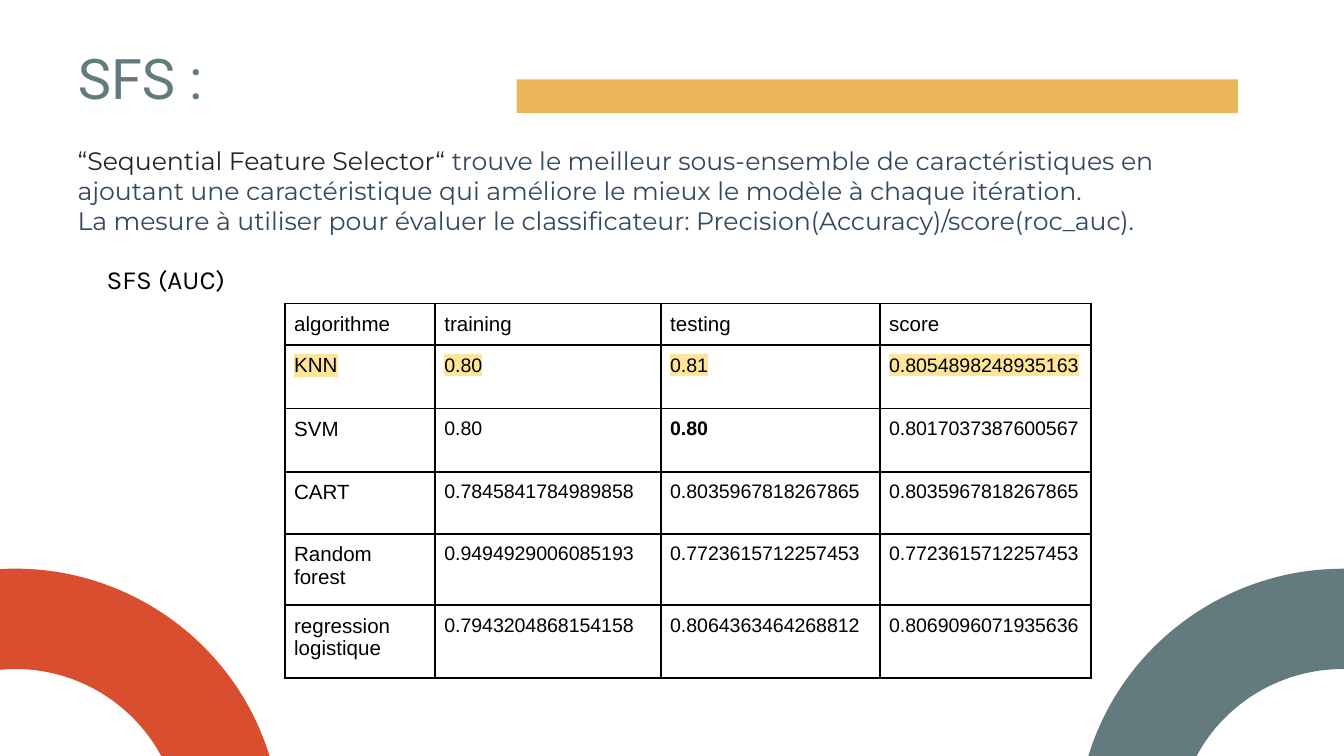
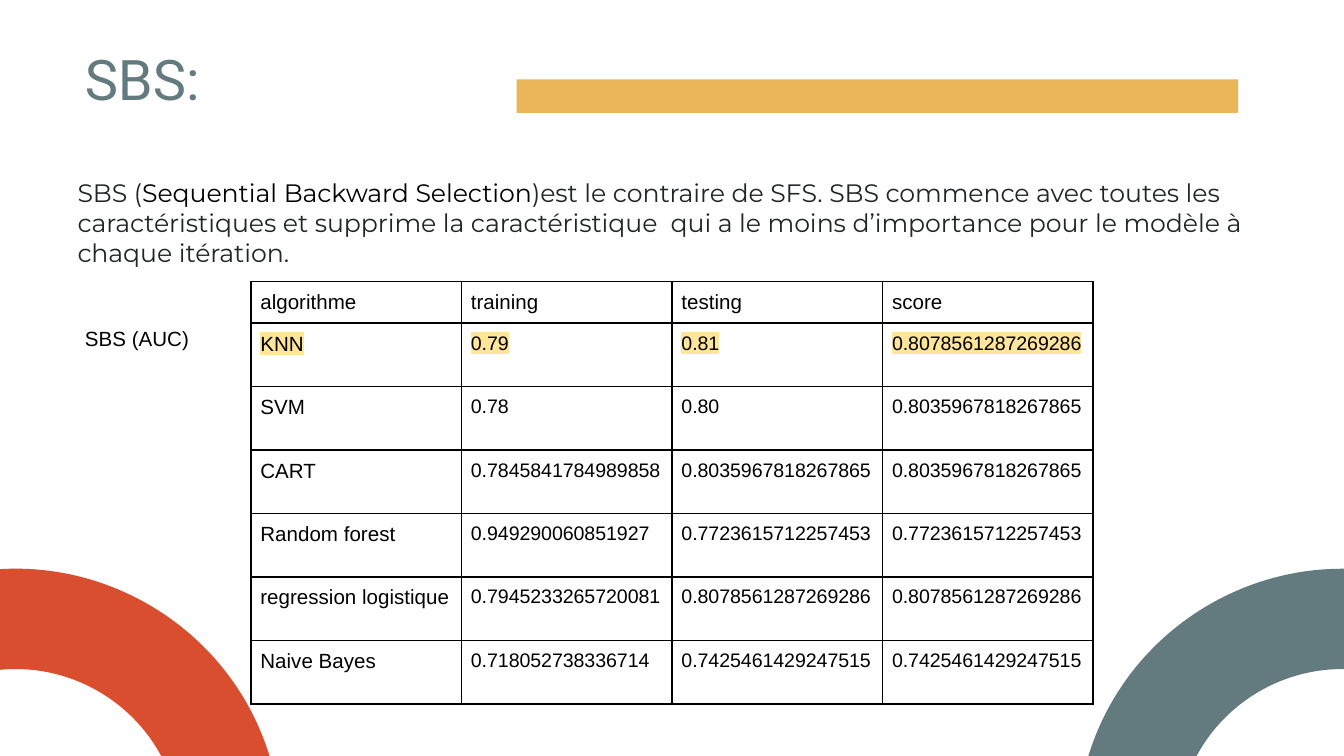
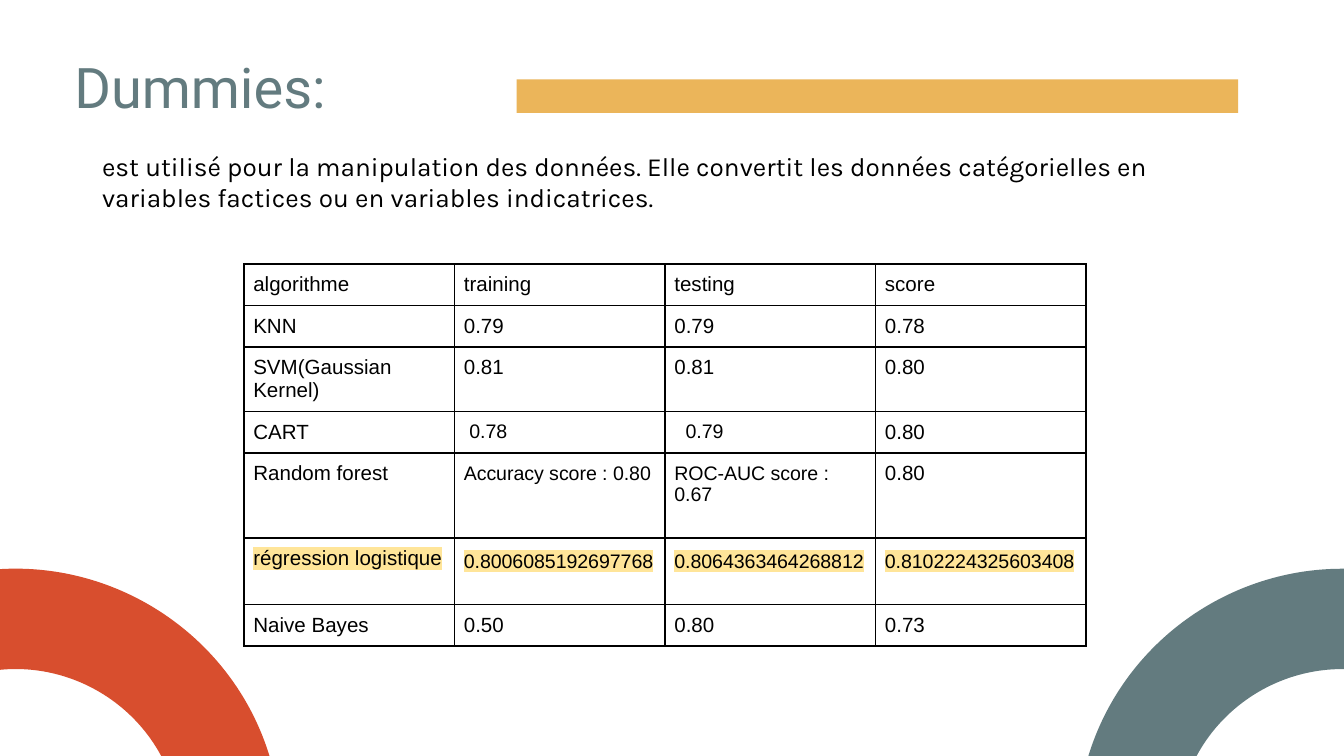
from dataclasses import dataclass

from lxml import etree
from pptx import Presentation
from pptx.dml.color import RGBColor
from pptx.enum.shapes import MSO_SHAPE
from pptx.enum.text import MSO_ANCHOR, PP_ALIGN
from pptx.oxml.ns import qn
from pptx.util import Pt

RECTANGLE = MSO_SHAPE.RECTANGLE
TOP = MSO_ANCHOR.TOP
MIDDLE = MSO_ANCHOR.MIDDLE
LEFT = PP_ALIGN.LEFT
TITLE_ONLY = 5


@dataclass(frozen=True)
class Style:
    face: str
    size: float
    color: str


@dataclass(frozen=True)
class Theme:
    slate: str = "637B7F"
    orange: str = "D84E2E"
    gold: str = "EBB55A"
    ink: str = "212529"
    navy: str = "32485F"
    black: str = "000000"
    marker: str = "FFE599"
    title: Style = Style("Roboto", 30, "637B7F")
    prose: Style = Style("Montserrat", 13.5, "212529")
    note: Style = Style("Karla", 14, "000000")
    label: Style = Style("Arial", 11, "000000")
    value: Style = Style("Arial", 10.5, "000000")
    text_inset: float = 7.2
    cell_inset: float = 5
    rule: float = 1


THEME = Theme()


@dataclass(frozen=True)
class Box:
    left: float
    top: float
    width: float
    height: float


@dataclass(frozen=True)
class Span:
    text: str
    color: str


@dataclass(frozen=True)
class Caption:
    box: Box
    paragraphs: tuple[tuple[Span, ...], ...]
    style: Style
    anchor: MSO_ANCHOR = TOP
    spacing: float = 1.0


@dataclass(frozen=True)
class Cell:
    text: str
    style: Style | None = None
    bold: bool = False
    indent: float = 0


@dataclass(frozen=True)
class Row:
    height: float
    cells: tuple[str | Cell, ...]
    value_style: Style = THEME.value
    marked: bool = False
    value_spacing: float = 1.0


@dataclass(frozen=True)
class Results:
    left: float
    top: float
    widths: tuple[float, ...]
    rows: tuple[Row, ...]


@dataclass(frozen=True)
class Method:
    title: str
    title_box: Box
    captions: tuple[Caption, ...]
    results: Results


@dataclass(frozen=True)
class Arc:
    left: float
    color: str
    rotation: float
    mirrored: bool


ARC_TOP = 288.7
ARC_SIDE = 142
ARC_HOLE = 88.2
ARC_PULL = 0.55
ARCS = (
    Arc(597.6, THEME.slate, 15, True),
    Arc(-12.2, THEME.orange, -15, False),
)
BAND = Box(276.8, 42.5, 386.6, 18)
HEADER = Row(22.3, ("algorithme", "training", "testing", "score"), THEME.label)
EQUAL_WIDTHS = (112.8,) * 4

METHODS = (
    Method(
        "SFS :",
        Box(34.5, 16.2, 235.4, 45.4),
        (
            Caption(
                Box(34.5, 70.6, 650.9, 220.3),
                (
                    (
                        Span("“Sequential Feature Selector“", THEME.ink),
                        Span(
                            " trouve le meilleur sous-ensemble de caractéristiques en ajoutant une "
                            "caractéristique qui améliore le mieux le modèle à chaque itération.",
                            THEME.navy,
                        ),
                    ),
                    (
                        Span(
                            "La mesure à utiliser pour évaluer le classificateur: "
                            "Precision(Accuracy)/score(roc_auc).",
                            THEME.navy,
                        ),
                    ),
                ),
                THEME.prose,
            ),
            Caption(
                Box(50, 133.9, 442, 136.8),
                ((Span("SFS (AUC)", THEME.black),),),
                THEME.note,
            ),
        ),
        Results(
            152.6,
            162.6,
            (80.5, 121, 117.3, 113),
            (
                HEADER,
                Row(34, ("KNN", "0.80", "0.81", "0.8054898248935163"), marked=True),
                Row(34, ("SVM", "0.80", Cell("0.80", bold=True), "0.8017037387600567")),
                Row(33.2, ("CART", "0.7845841784989858", "0.8035967818267865", "0.8035967818267865")),
                Row(38.2, ("Random forest", "0.9494929006085193", "0.7723615712257453", "0.7723615712257453")),
                Row(39, ("regression logistique", "0.7943204868154158", "0.8064363464268812", "0.8069096071935636")),
            ),
        ),
    ),
    Method(
        "SBS:",
        Box(38.2, 16.6, 235.4, 45.4),
        (
            Caption(
                Box(34.5, 87.8, 650.9, 198.7),
                (
                    (
                        Span("SBS (", THEME.ink),
                        Span("Sequential Backward Selection", THEME.black),
                        Span(
                            ")est le contraire de SFS. SBS commence avec toutes les caractéristiques "
                            "et supprime la caractéristique  qui a le moins d’importance pour le "
                            "modèle à chaque itération.",
                            THEME.ink,
                        ),
                    ),
                ),
                THEME.prose,
            ),
            Caption(
                Box(38.4, 151.2, 75.6, 58.3),
                ((Span("SBS (AUC)", THEME.black),),),
                THEME.label,
                MIDDLE,
                1.15,
            ),
        ),
        Results(
            134.5,
            150.9,
            EQUAL_WIDTHS,
            (
                HEADER,
                Row(34, ("KNN", "0.79", "0.81", "0.8078561287269286"), marked=True),
                Row(34, ("SVM", "0.78", "0.80", "0.8035967818267865")),
                Row(34, ("CART", "0.7845841784989858", "0.8035967818267865", "0.8035967818267865")),
                Row(34, ("Random forest", "0.949290060851927", "0.7723615712257453", "0.7723615712257453")),
                Row(34, ("regression logistique", "0.7945233265720081", "0.8078561287269286", "0.8078561287269286")),
                Row(34, ("Naive Bayes", "0.718052738336714", "0.7425461429247515", "0.7425461429247515")),
            ),
        ),
    ),
    Method(
        "Dummies:",
        Box(32.6, 20.9, 315.4, 48.2),
        (
            Caption(
                Box(47.6, 73.4, 582.5, 64.1),
                (
                    (
                        Span(
                            "est utilisé pour la manipulation des données. Elle convertit les données "
                            "catégorielles en variables factices ou en variables indicatrices.",
                            THEME.black,
                        ),
                    ),
                ),
                THEME.note,
            ),
        ),
        Results(
            130.7,
            141.4,
            EQUAL_WIDTHS,
            (
                HEADER,
                Row(22.3, ("KNN", "0.79", "0.79", "0.78"), THEME.label),
                Row(34.5, ("SVM(Gaussian Kernel)", "0.81", "0.81", "0.80"), THEME.label),
                Row(22.3, ("CART", Cell("0.78", indent=3), Cell("0.79", indent=6), Cell("0.80", THEME.label))),
                Row(45.5, ("Random forest", "Accuracy score : 0.80", "ROC-AUC score : 0.67", Cell("0.80", THEME.label))),
                Row(
                    35.7,
                    ("régression logistique", "0.8006085192697768", "0.8064363464268812", "0.8102224325603408"),
                    marked=True,
                    value_spacing=1.15,
                ),
                Row(22.3, ("Naive Bayes", "0.50", "0.80", "0.73"), THEME.label),
            ),
        ),
    ),
)


def place(shape, box: Box) -> None:
    shape.left, shape.top = Pt(box.left), Pt(box.top)
    shape.width, shape.height = Pt(box.width), Pt(box.height)


def paint(shape, color: str) -> None:
    shape.shadow.inherit = False
    shape.fill.solid()
    shape.fill.fore_color.rgb = RGBColor.from_string(color)
    shape.line.fill.background()


def set_style(paragraph, style: Style, spacing: float = 1.0) -> None:
    paragraph.alignment = LEFT
    paragraph.line_spacing = spacing
    paragraph.font.name = style.face
    paragraph.font.size = Pt(style.size)
    paragraph.font.color.rgb = RGBColor.from_string(style.color)


def set_frame(frame, anchor: MSO_ANCHOR) -> None:
    frame.word_wrap = True
    frame.vertical_anchor = anchor
    inset = Pt(THEME.text_inset)
    frame.margin_left = frame.margin_right = inset
    frame.margin_top = frame.margin_bottom = inset


def add_solid(parent, tag: str, color: str) -> None:
    holder = etree.SubElement(parent, qn(tag))
    etree.SubElement(holder, qn("a:srgbClr"), val=color)


def mark(run) -> None:
    add_solid(run.font._element, "a:highlight", THEME.marker)


def bend(segment, controls: list[tuple[int, int]]) -> None:
    curve = etree.Element(qn("a:cubicBezTo"))
    for x, y in controls:
        etree.SubElement(curve, qn("a:pt"), x=str(x), y=str(y))
    segment.getparent().replace(segment, curve)
    curve.append(segment[0])


def draw_arc(slide, arc: Arc):
    def point(across: float, up: float) -> tuple[int, int]:
        x = ARC_SIDE - across if arc.mirrored else across
        return Pt(x), Pt(ARC_SIDE - up)

    corners = [point(0, ARC_SIDE), point(ARC_SIDE, 0), point(ARC_HOLE, 0), point(0, ARC_HOLE)]
    builder = slide.shapes.build_freeform(*corners[0])
    builder.add_line_segments(corners[1:], close=True)
    ring = builder.convert_to_shape(Pt(arc.left), Pt(ARC_TOP))
    place(ring, Box(arc.left, ARC_TOP, ARC_SIDE, ARC_SIDE))
    outer, _, inner = list(ring.element.iter(qn("a:lnTo")))
    outer_pull, inner_pull = ARC_PULL * ARC_SIDE, ARC_PULL * ARC_HOLE
    bend(outer, [point(outer_pull, ARC_SIDE), point(ARC_SIDE, outer_pull)])
    bend(inner, [point(ARC_HOLE, inner_pull), point(inner_pull, ARC_HOLE)])
    ring.rotation = arc.rotation
    paint(ring, arc.color)
    return ring


def decorate_layout(layout, slide) -> None:
    band = slide.shapes.add_shape(RECTANGLE, 0, 0, 0, 0)
    place(band, BAND)
    paint(band, THEME.gold)
    decorations = [band] + [draw_arc(slide, arc) for arc in ARCS]
    for position, decoration in enumerate(decorations, start=2):
        layout.shapes.element.insert(position, decoration.element)


def draw_title(slide, method: Method) -> None:
    title = slide.shapes.title
    place(title, method.title_box)
    title.text_frame.text = method.title
    set_frame(title.text_frame, TOP)
    set_style(title.text_frame.paragraphs[0], THEME.title)


def draw_caption(slide, caption: Caption) -> None:
    box = slide.shapes.add_textbox(0, 0, 0, 0)
    place(box, caption.box)
    frame = box.text_frame
    set_frame(frame, caption.anchor)
    for index, spans in enumerate(caption.paragraphs):
        paragraph = frame.add_paragraph() if index else frame.paragraphs[0]
        set_style(paragraph, caption.style, caption.spacing)
        for span in spans:
            run = paragraph.add_run()
            run.text = span.text
            if span.color != caption.style.color:
                run.font.color.rgb = RGBColor.from_string(span.color)


def draw_cell(target, cell: Cell, style: Style, spacing: float, marked: bool) -> None:
    inset = Pt(THEME.cell_inset)
    target.margin_left = Pt(THEME.cell_inset + cell.indent)
    target.margin_right = target.margin_top = target.margin_bottom = inset
    properties = target._tc.get_or_add_tcPr()
    for side in ("a:lnL", "a:lnR", "a:lnT", "a:lnB"):
        border = etree.SubElement(properties, qn(side), w=str(Pt(THEME.rule)))
        add_solid(border, "a:solidFill", THEME.black)
    target.fill.background()
    paragraph = target.text_frame.paragraphs[0]
    set_style(paragraph, style, spacing)
    paragraph.font.bold = cell.bold
    run = paragraph.add_run()
    run.text = cell.text
    if marked:
        mark(run)


def draw_results(slide, results: Results) -> None:
    height = sum(row.height for row in results.rows)
    table = slide.shapes.add_table(
        len(results.rows), len(results.widths),
        Pt(results.left), Pt(results.top), Pt(sum(results.widths)), Pt(height),
    ).table
    table.first_row = table.horz_banding = False
    for column, width in zip(table.columns, results.widths):
        column.width = Pt(width)
    for row_index, row in enumerate(results.rows):
        table.rows[row_index].height = Pt(row.height)
        for column_index, content in enumerate(row.cells):
            cell = content if isinstance(content, Cell) else Cell(content)
            is_value = column_index > 0
            style = cell.style or (row.value_style if is_value else THEME.label)
            spacing = row.value_spacing if is_value else 1.0
            draw_cell(table.cell(row_index, column_index), cell, style, spacing, row.marked)


def main() -> None:
    deck = Presentation()
    deck.slide_width, deck.slide_height = Pt(720), Pt(405)
    layout = deck.slide_layouts[TITLE_ONLY]
    slides = [deck.slides.add_slide(layout) for _ in METHODS]
    decorate_layout(layout, slides[0])
    for slide, method in zip(slides, METHODS):
        draw_title(slide, method)
        draw_results(slide, method.results)
        for caption in method.captions:
            draw_caption(slide, caption)
    deck.save("out.pptx")


if __name__ == "__main__":
    main()
